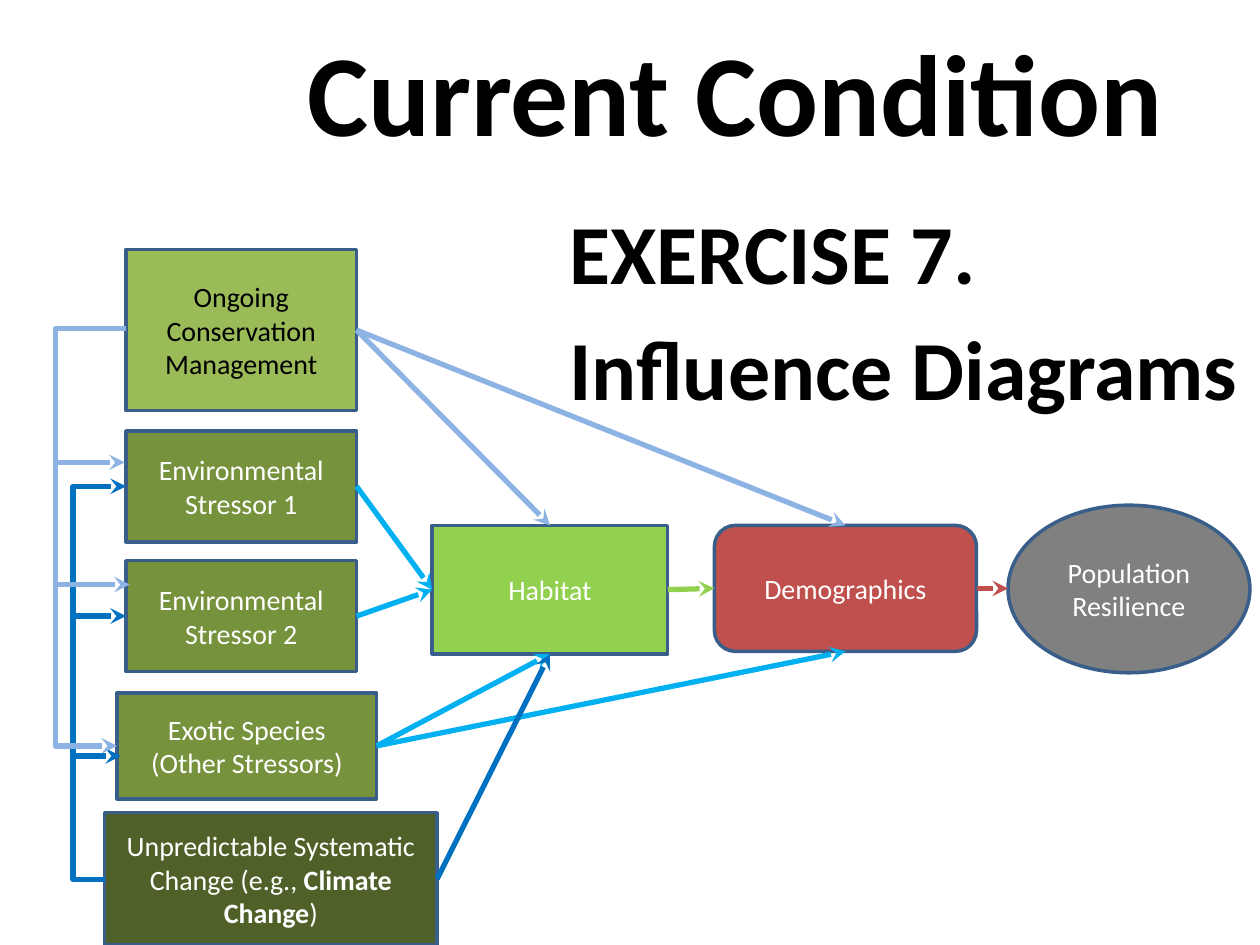
from dataclasses import dataclass
from lxml.etree import SubElement as Sub
from pptx import Presentation
from pptx.dml.color import RGBColor as Rgb
from pptx.enum.shapes import MSO_CONNECTOR as Conn, MSO_SHAPE as Kind
from pptx.enum.text import MSO_ANCHOR as Anchor, MSO_AUTO_SIZE as Auto, PP_ALIGN as Align
from pptx.oxml.ns import qn
from pptx.util import Inches, Pt

TOP, LEFT, BASE, RIGHT = range(4)


@dataclass(frozen=True)
class Theme:
    font: str = "Calibri"
    black: str = "000000"
    white: str = "FFFFFF"
    edge: str = "395E89"
    leaf: str = "9BBB59"
    olive: str = "76923C"
    moss: str = "4F6128"
    lime: str = "92D050"
    red: str = "C0504D"
    gray: str = "808080"
    sky: str = "00B0F0"
    pale: str = "8CB3E3"
    blue: str = "0070C0"
    head: int = 66
    sub: int = 48
    label: int = 16
    rim: int = 2
    stroke: int = 3


class Deck:
    """Draws on one slide with a grid of 100 columns and 75 rows."""

    def __init__(self, theme):
        self.theme = theme
        self.prs = Presentation()
        self.prs.slide_width, self.prs.slide_height = Inches(10), Inches(7.5)
        self.col = self.prs.slide_width / 100
        self.row = self.prs.slide_height / 75
        self.slide = self.prs.slides.add_slide(self.prs.slide_layouts[1])

    def spot(self, x, y):
        return round(x * self.col), round(y * self.row)

    def label(self, frame, paras, size, color, align, bold=False):
        frame.word_wrap = True
        for i, runs in enumerate(paras):
            para = frame.paragraphs[0] if i == 0 else frame.add_paragraph()
            para.alignment = align
            for text, strong in runs:
                run = para.add_run()
                run.text = text
                font = run.font
                font.name, font.size = self.theme.font, Pt(size)
                font.bold = bold or strong
                font.color.rgb = Rgb.from_string(color)

    def place(self, hold, area, lines, size, align):
        hold.left, hold.top = self.spot(*area[:2])
        hold.width, hold.height = self.spot(*area[2:])
        frame = hold.text_frame
        frame.auto_size, frame.vertical_anchor = Auto.NONE, Anchor.TOP
        paras = [[(line, True)] for line in lines]
        self.label(frame, paras, size, self.theme.black, align, True)
        return frame

    def title(self, area, text):
        self.place(self.slide.shapes.title, area, [text], self.theme.head, Align.CENTER)

    def body(self, area, lines):
        hold = self.slide.placeholders[1]
        frame = self.place(hold, area, lines, self.theme.sub, Align.LEFT)
        for para in frame.paragraphs:
            para.line_spacing, para.space_before = 1.15, Pt(0)
            props = para._p.get_or_add_pPr()
            props.set("marL", "0")
            props.set("indent", "0")
            Sub(props, qn("a:buNone"))

    def box(self, area, fill, *paras, kind=Kind.RECTANGLE, color=None):
        shape = self.slide.shapes.add_shape(kind, *self.spot(*area[:2]), *self.spot(*area[2:]))
        shape.shadow.inherit = False
        shape.fill.solid()
        shape.fill.fore_color.rgb = Rgb.from_string(fill)
        shape.line.color.rgb = Rgb.from_string(self.theme.edge)
        shape.line.width = Pt(self.theme.rim)
        frame = shape.text_frame
        frame.vertical_anchor = Anchor.MIDDLE
        runs = [[(p, False)] if isinstance(p, str) else p for p in paras]
        self.label(frame, runs, self.theme.label, color or self.theme.white, Align.CENTER)
        return shape

    def wire(self, kind, start, end, color):
        line = self.slide.shapes.add_connector(kind, *self.spot(*start), *self.spot(*end))
        line.line.color.rgb = Rgb.from_string(color)
        line.line.width = Pt(self.theme.stroke)
        Sub(line.line._get_or_add_ln(), qn("a:tailEnd"), type="stealth")
        Sub(line._element.spPr, qn("a:effectLst"))
        return line

    def arrow(self, start, end, color):
        """Join ends given as (shape, side); leave (x, y) ends free."""
        ends = [p if isinstance(p[0], (int, float)) else (0, 0) for p in (start, end)]
        line = self.wire(Conn.STRAIGHT, *ends, color)
        for point, join in ((start, line.begin_connect), (end, line.end_connect)):
            if not isinstance(point[0], (int, float)):
                join(*point)

    def elbow(self, start, end, via, color):
        line = self.wire(Conn.ELBOW, start, end, color)
        share = (via - start[0]) / (end[0] - start[0])
        geom = line._element.spPr.find(qn("a:prstGeom"))
        guides = geom.find(qn("a:avLst"))
        if guides is None:
            guides = Sub(geom, qn("a:avLst"))
        Sub(guides, qn("a:gd"), name="adj1", fmla=f"val {round(share * 100000)}")


def main():
    t = Theme()
    deck = Deck(t)
    deck.title((21.7, 1.2, 73.3, 12.1), "Current Condition")
    deck.body((44.2, 14.2, 59.1, 19.3), ["EXERCISE 7.", "Influence Diagrams"])

    deck.box((80, 40.1, 19.2, 13.3), t.gray, "Population Resilience", kind=Kind.OVAL)
    demo = deck.box((56.7, 41.7, 20.8, 10), t.red, "Demographics", kind=Kind.ROUNDED_RECTANGLE)
    home = deck.box((34.3, 41.7, 18.7, 10.2), t.lime, "Habitat")
    care = deck.box((10, 19.8, 18.3, 12.8), t.leaf, "Ongoing Conservation", "Management",
                    color=t.black)
    alien = deck.box((9.3, 55, 20.6, 8.4), t.olive, "Exotic Species", "(Other Stressors)")
    first, second = [
        deck.box((10, y, 18.3, 8.8), t.olive, f"Environmental Stressor {n}")
        for n, y in ((1, 34.2), (2, 44.5))]
    shift = deck.box((8.3, 64.5, 26.4, 10.5), t.moss, [
        ("Unpredictable Systematic Change (e.g., ", False), ("Climate Change", True), (")", False)])

    for source, goal, side, color in (
            (second, home, LEFT, t.sky), (first, home, LEFT, t.sky),
            (alien, home, BASE, t.sky), (care, home, TOP, t.pale),
            (care, demo, TOP, t.pale), (alien, demo, BASE, t.sky),
            (home, demo, LEFT, t.lime), (shift, home, BASE, t.blue)):
        deck.arrow((source, RIGHT), (goal, side), color)
    deck.arrow((demo, RIGHT), (80, 46.7), t.red)

    deck.elbow((8.3, 69.8), (10, 38.6), 5.8, t.blue)
    deck.arrow((6, 60), (9.6, 60), t.blue)
    deck.arrow((6, 48.9), (second, LEFT), t.blue)
    deck.elbow((10, 26.1), (9.3, 59.2), 4.4, t.pale)
    deck.arrow((4.6, 46.4), (10.3, 46.4), t.pale)
    deck.arrow((4.6, 36.7), (9.9, 36.7), t.pale)
    deck.prs.save("out.pptx")


if __name__ == "__main__":
    main()
